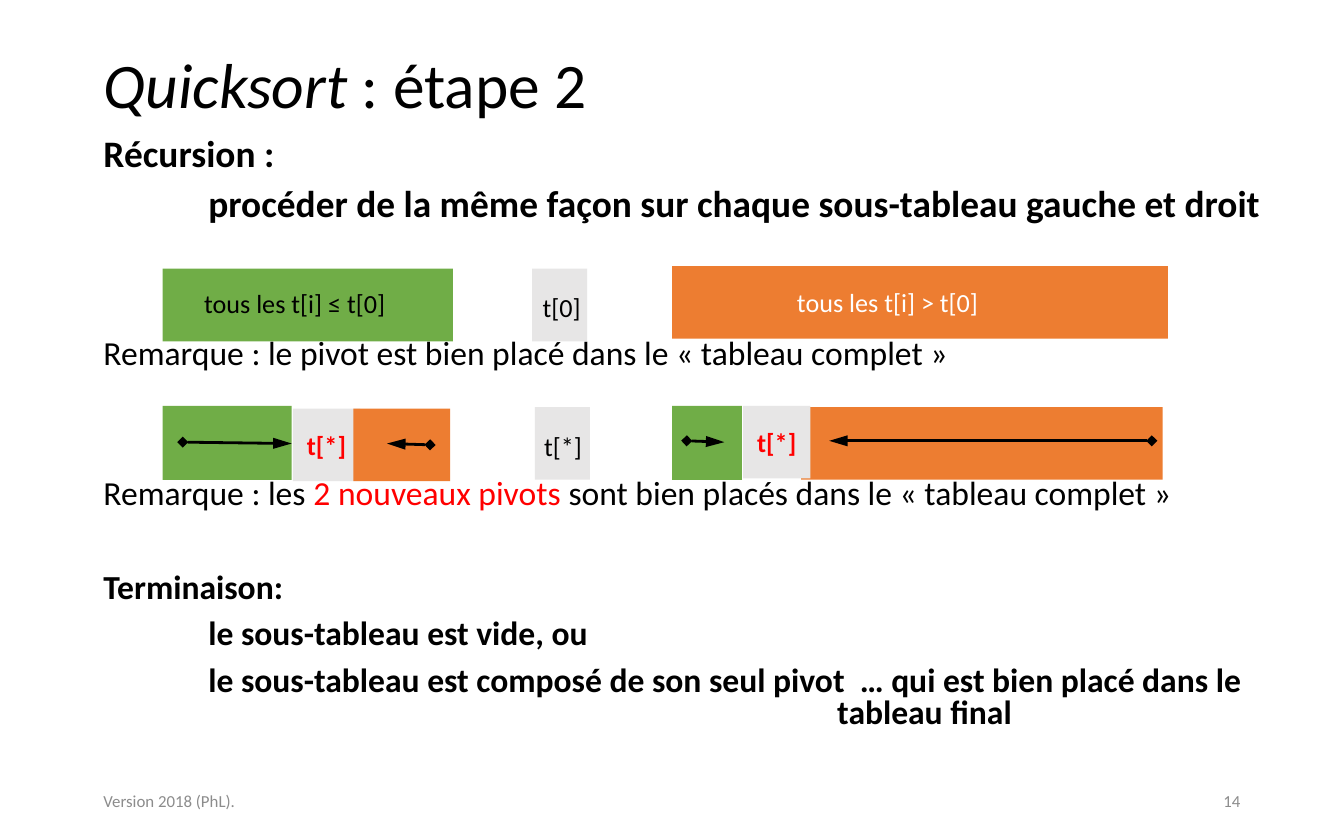
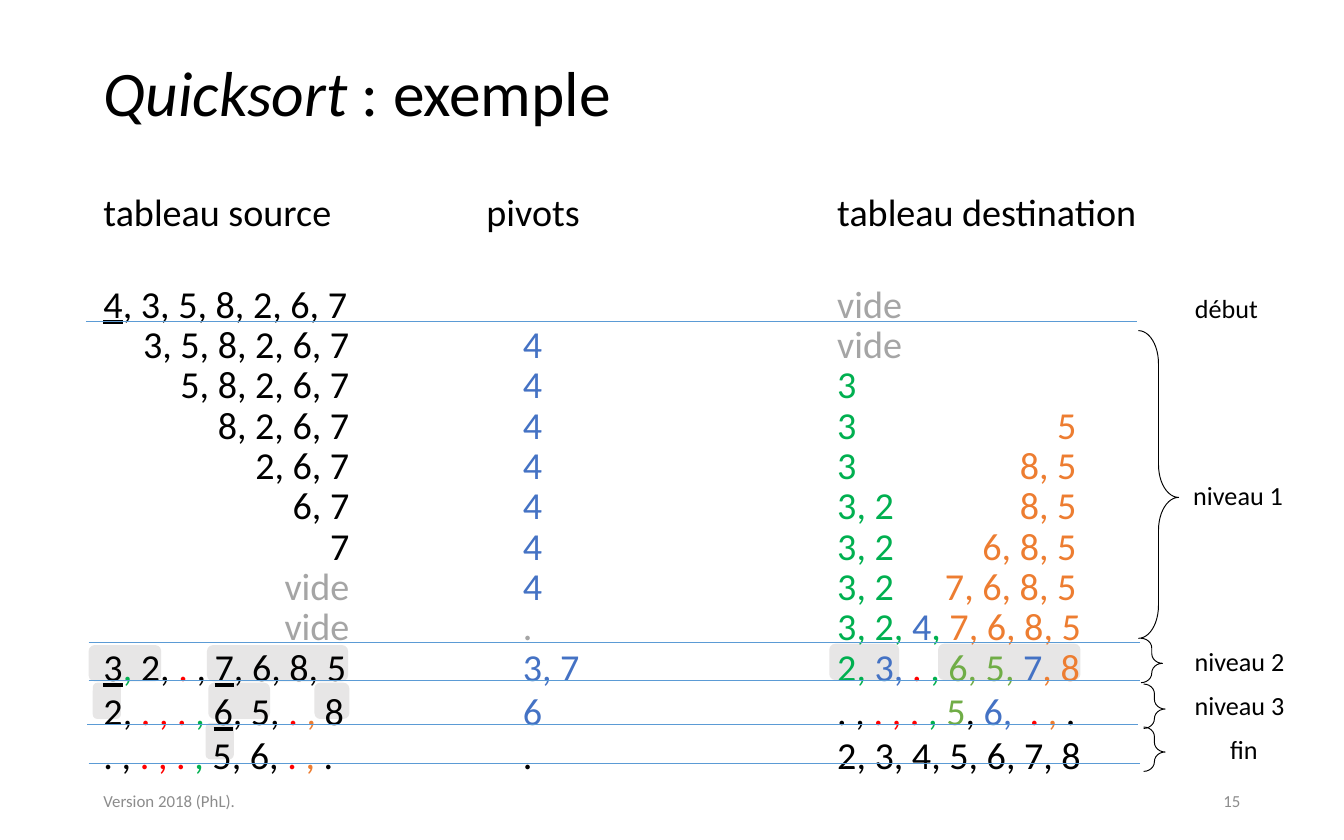
from dataclasses import dataclass

from lxml.etree import SubElement
from pptx import Presentation
from pptx.dml.color import RGBColor
from pptx.enum.shapes import MSO_CONNECTOR as Connector, MSO_SHAPE as Preset
from pptx.enum.text import MSO_ANCHOR as Anchor, MSO_AUTO_SIZE as AutoSize, PP_ALIGN as Align
from pptx.oxml.ns import qn
from pptx.util import Inches, Pt

FONT = "Calibri"
BLACK, WHITE, RED = "000000", "FFFFFF", "FF0000"
GREEN, ORANGE, SILVER = "70AD47", "ED7D31", "E7E6E6"
LEAF, BLUE, MUTED, RULE, FOOTER = "00B050", "4472C4", "A5A5A5", "5B9BD5", "8C8C8C"
PLACEHOLDER_INSETS = (0.08, 0.04)
SHAPE_INSETS = (0.1, 0.05)
TAB_STEP = 0.78
TO_PIVOT, TO_RESULT = "\t" * 4, "\t" * 3  # tabs from the margin, then from the pivot
EXAMPLE_SIZE = 20.4


@dataclass
class Span:
    """A stretch of text in one format; a vertical tab alone breaks the line."""
    text: str
    color: str = BLACK
    bold: bool = False
    italic: bool = False
    underline: bool = False


@dataclass
class Line:
    """A paragraph with its spacing and alignment."""
    spans: list
    size: float = EXAMPLE_SIZE
    before: float = 2
    after: float = 0
    align: Align = Align.LEFT


@dataclass
class Block:
    """A filled shape, with an optional label."""
    left: float
    top: float
    width: float
    height: float
    fill: str
    label: str = ""
    color: str = RED
    bold: bool = True
    indent: float = 0


def rgb(color):
    """Turn a hex string into a colour."""
    return RGBColor.from_string(color)


def place(shape, left, top, width, height):
    """Move and size a shape, in inches."""
    shape.left, shape.top = Inches(left), Inches(top)
    shape.width, shape.height = Inches(width), Inches(height)


def prepare(frame, insets, anchor):
    """Set wrapping, margins and anchor of a text frame."""
    frame.word_wrap, frame.auto_size = True, AutoSize.NONE
    frame.margin_left = frame.margin_right = Inches(insets[0])
    frame.margin_top = frame.margin_bottom = Inches(insets[1])
    frame.vertical_anchor = anchor


def write(para, spans, size):
    """Add formatted spans to a paragraph."""
    for span in spans:
        if span.text == "\v":
            para.add_line_break()
            continue
        run = para.add_run()
        run.text = span.text
        font = run.font
        font.name, font.size = FONT, Pt(size)
        font.bold, font.italic, font.underline = span.bold, span.italic, span.underline
        font.color.rgb = rgb(span.color)


def add_text(page, text, left, top, width, height, *, size=14, color=BLACK,
             align=Align.LEFT, insets=SHAPE_INSETS, anchor=Anchor.TOP):
    """Add a one-line text box."""
    box = page.shapes.add_textbox(*map(Inches, (left, top, width, height)))
    prepare(box.text_frame, insets, anchor)
    para = box.text_frame.paragraphs[0]
    para.alignment = align
    write(para, [Span(text, color)], size)


def add_block(page, block, preset=Preset.RECTANGLE):
    """Add a filled shape without outline."""
    box = page.shapes.add_shape(
        preset, *map(Inches, (block.left, block.top, block.width, block.height)))
    box.shadow.inherit = False
    box.fill.solid()
    box.fill.fore_color.rgb = rgb(block.fill)
    box.line.fill.background()
    if block.label:
        frame = box.text_frame
        prepare(frame, SHAPE_INSETS, Anchor.MIDDLE)
        para = frame.paragraphs[0]
        para.alignment = Align.CENTER
        if block.indent:
            para.alignment = Align.LEFT
            frame.margin_left = Inches(block.indent)
        write(para, [Span(block.label, block.color, bold=block.bold)], 14)


def add_line(page, start, end, *, color=BLACK, width=1.5, arrow=False):
    """Add a straight line, optionally from a diamond to an arrowhead."""
    line = page.shapes.add_connector(Connector.STRAIGHT, *map(Inches, (*start, *end)))
    line.line.color.rgb = rgb(color)
    line.line.width = Pt(width)
    if arrow:
        outline = line.get_or_add_ln()
        SubElement(outline, qn("a:headEnd"), type="diamond")
        SubElement(outline, qn("a:tailEnd"), type="triangle", len="lg")
    SubElement(line.element.spPr, qn("a:effectLst"))


def add_brace(page, left, top, width, height, curve, middle):
    """Add a thin right brace."""
    brace = page.shapes.add_shape(
        Preset.RIGHT_BRACE, *map(Inches, (left, top, width, height)))
    brace.shadow.inherit = False
    brace.fill.background()
    brace.line.color.rgb = rgb(BLACK)
    brace.line.width = Pt(0.5)
    brace.adjustments[0], brace.adjustments[1] = curve, middle


def fill_lines(shape, lines):
    """Write unbulleted lines, with evenly spaced tabs, into a shape."""
    frame = shape.text_frame
    prepare(frame, PLACEHOLDER_INSETS, Anchor.TOP)
    for index, line in enumerate(lines):
        para = frame.add_paragraph() if index else frame.paragraphs[0]
        para.alignment, para.line_spacing = line.align, 0.8
        para.space_before, para.space_after = Pt(line.before), Pt(line.after)
        props = para._p.get_or_add_pPr()
        for name, length in (("marL", 0), ("indent", 0), ("defTabSz", TAB_STEP)):
            props.set(name, str(int(Inches(length))))
        SubElement(props, qn("a:buNone"))
        write(para, line.spans, line.size)


def add_column(page, cells, right, top, width):
    """Add a right-aligned column of (text, colour) rows."""
    height = 0.3 * len(cells) + 0.08
    box = page.shapes.add_textbox(*map(Inches, (right - width, top, width, height)))
    fill_lines(box, [Line([Span(*cell)], align=Align.RIGHT) for cell in cells])


def add_page(deck, subject, number, title_height):
    """Add a slide with its title and footers; return it with its body."""
    page = deck.slides.add_slide(deck.slide_layouts[1])
    title, body = page.placeholders
    place(title, 0.69, 0.33, 8.62, title_height)
    prepare(title.text_frame, PLACEHOLDER_INSETS, Anchor.MIDDLE)
    para = title.text_frame.paragraphs[0]
    para.alignment, para.line_spacing = Align.LEFT, 0.9
    write(para, [Span("Quicksort", italic=True), Span(f" : {subject}")], 34)
    for text, left, align in (("Version 2018 (PhL).", 0.69, Align.LEFT),
                              (str(number), 7.06, Align.RIGHT)):
        add_text(page, text, left, 5.79, 2.25, 0.33, size=9, color=FOOTER, align=align,
                 insets=PLACEHOLDER_INSETS, anchor=Anchor.MIDDLE)
    return page, body


def build_recursion(deck):
    """Build the slide on the recursive step."""
    page, body = add_page(deck, "étape 2", 14, 0.65)
    place(body, 0.69, 0.99, 9.23, 4.81)

    def strong(text):
        return Span(text, bold=True)

    fill_lines(body, [
        Line([strong("Récursion :")], 20),
        Line([strong("\tprocéder de la même façon sur chaque sous-tableau gauche et droit")],
             20, 7.5),
        Line([Span("Remarque : le pivot est bien placé dans le «\u00a0tableau complet\u00a0»")],
             18, 62),
        Line([Span("Remarque : les "), Span("2 nouveaux pivots ", RED),
              Span("sont bien placés dans le «\u00a0tableau complet\u00a0»")], 18, 57.4),
        Line([strong("Terminaison:")], 18, 33.2),
        Line([strong("\tle sous-tableau est vide, ou")], 18, 7.5),
        Line([strong("\tle sous-tableau est composé de son seul pivot\u00a0 … "
                     "qui est bien placé dans le"),
              Span("\v"), strong(TO_PIVOT + TO_RESULT + "tableau final")], 18, 7.5),
    ])
    for block in (
        Block(1.21, 2, 2.16, 0.54, GREEN),
        Block(3.96, 2, 0.41, 0.54, SILVER),
        Block(5, 1.98, 3.69, 0.54, ORANGE, "tous les t[i] > t[0]", WHITE, False, 0.93),
        Block(1.21, 3.02, 0.96, 0.55, GREEN),
        Block(2.18, 3.04, 0.5, 0.54, SILVER, "t[*]"),
        Block(2.63, 3.04, 0.72, 0.54, ORANGE),
        Block(3.98, 3.03, 0.41, 0.54, SILVER),
        Block(5, 3.02, 0.52, 0.55, GREEN),
        Block(5.96, 3.03, 2.69, 0.54, ORANGE),
        Block(5.53, 3.02, 0.5, 0.54, SILVER, "t[*]"),
    ):
        add_block(page, block)
    for text, left, top, width in (("tous les t[i] ≤ t[0]", 1.42, 2.09, 1.92),
                                   ("t[0]", 3.94, 2.12, 0.54), ("t[*]", 3.95, 3.15, 0.54)):
        add_text(page, text, left, top, width, 0.34)
    for start, end in (((1.36, 3.29), (2.17, 3.3)), ((3.2, 3.31), (2.88, 3.3)),
                       ((5.11, 3.28), (5.39, 3.29)), ((8.57, 3.28), (6.17, 3.28))):
        add_line(page, start, end, arrow=True)


def example_lines():
    """Return the header and the left-aligned parts of the worked example."""
    def pivot(text):
        return Span(text, underline=True)

    lines = [
        Line([Span("tableau source" + "\t" * 5 + "tableau destination")]),
        Line([pivot("4"), Span(", 3, 5, 8, 2, 6, 7" + "\t" * 5), Span("vide", MUTED)],
             before=29.4),
    ]
    for small in ("vide", "3", "3", "3", "3, 2", "3, 2", "3, 2"):
        lines.append(Line([Span(TO_PIVOT + "4" + TO_RESULT, BLUE),
                           Span(small, MUTED if small == "vide" else LEAF)]))
    lines.append(Line([Span(TO_PIVOT + "." + TO_RESULT, MUTED), Span("3, 2, ", LEAF),
                       Span("4", BLUE), Span(", ", LEAF), Span("7, 6, 8, 5", ORANGE)]))
    for spans in (
        [pivot("3"), Span(", ", LEAF), Span("2, "), Span(". ", RED), Span(", "), pivot("7"),
         Span(", 6, 8, 5\t\t"), Span("3, 7" + TO_RESULT, BLUE), Span("2, ", LEAF),
         Span("3, ", BLUE), Span(". ", RED), Span(", ", LEAF), Span("6, 5, ", GREEN),
         Span("7", BLUE), Span(", 8", ORANGE)],
        [Span("2, "), Span(". , . ", RED), Span(", ", LEAF), pivot("6"), Span(", 5, "),
         Span(". ", RED), Span(",", ORANGE), Span(" 8\t\t"), Span("6" + TO_RESULT, BLUE),
         Span(". , "), Span(". , . ", RED), Span(", ", LEAF), Span("5", GREEN), Span(", "),
         Span("6, ", BLUE), Span(" . ", RED), Span(", ", ORANGE), Span(".")],
        [Span(". , "), Span(". , . ", RED), Span(", ", LEAF), Span("5, 6, "),
         Span(". ", RED), Span(", ", ORANGE),
         Span(".\t\t." + TO_RESULT + "2, 3, 4, 5, 6, 7, 8")],
    ):
        lines.append(Line(spans, after=2))
    return lines


def build_example(deck):
    """Build the slide with the worked example."""
    page, body = add_page(deck, "exemple", 15, 0.77)
    for left, top, width in (
        (6.98, 4.79, 1.06), (6.17, 4.79, 0.52), (2.34, 5.08, 0.26), (1.55, 5.08, 0.46),
        (0.69, 5.08, 0.21), (1.54, 4.8, 1.05), (0.66, 4.8, 0.54), (1.53, 5.38, 0.21),
    ):
        add_block(page, Block(left, top, width, 0.27, SILVER), Preset.ROUNDED_RECTANGLE)
    body.element.getparent().append(body.element)  # text in front of the highlights
    place(body, 0.69, 1.43, 8.62, 4.69)
    fill_lines(body, example_lines())

    heading = page.shapes.add_textbox(*map(Inches, (3.54, 1.43, 1.2, 0.4)))
    fill_lines(heading, [Line([Span("pivots")])])
    remaining = ["3, 5, 8, 2, 6, 7"[start:] for start in range(0, 16, 3)]
    add_column(page, [(text, BLACK) for text in remaining] + [("vide", MUTED)] * 2,
               2.68, 2.41, 1.9)
    add_column(page, [(text, ORANGE) for text in ("5", "8, 5", "8, 5", "6, 8, 5", "7, 6, 8, 5")],
               8.09, 3.01, 1.3)

    for left, top in ((0.64, 2.39), (0.66, 4.78), (0.66, 5.06), (0.65, 5.39), (0.66, 5.68)):
        add_line(page, (left, top), (left + 7.82, top), color=RULE, width=0.5)
    add_brace(page, 8.47, 2.46, 0.3, 2.29, 0.815, 0.542)
    for left, top in ((8.49, 4.75), (8.51, 5.09), (8.51, 5.41)):
        add_brace(page, left, top, 0.16, 0.33, 2.004, 0.564)
    for text, left, top, align in (
        ("début", 8.59, 2.13, Align.CENTER), ("niveau 1", 8.78, 3.52, Align.LEFT),
        ("niveau 2", 8.79, 4.75, Align.LEFT), ("niveau 3", 8.79, 5.08, Align.LEFT),
        ("fin", 8.72, 5.41, Align.CENTER),
    ):
        add_text(page, text, left, top, 1.07, 0.34, align=align)


def main():
    """Build and save the deck."""
    deck = Presentation()
    deck.slide_width, deck.slide_height = Inches(10), Inches(6.25)
    build_recursion(deck)
    build_example(deck)
    deck.save("out.pptx")


main()
